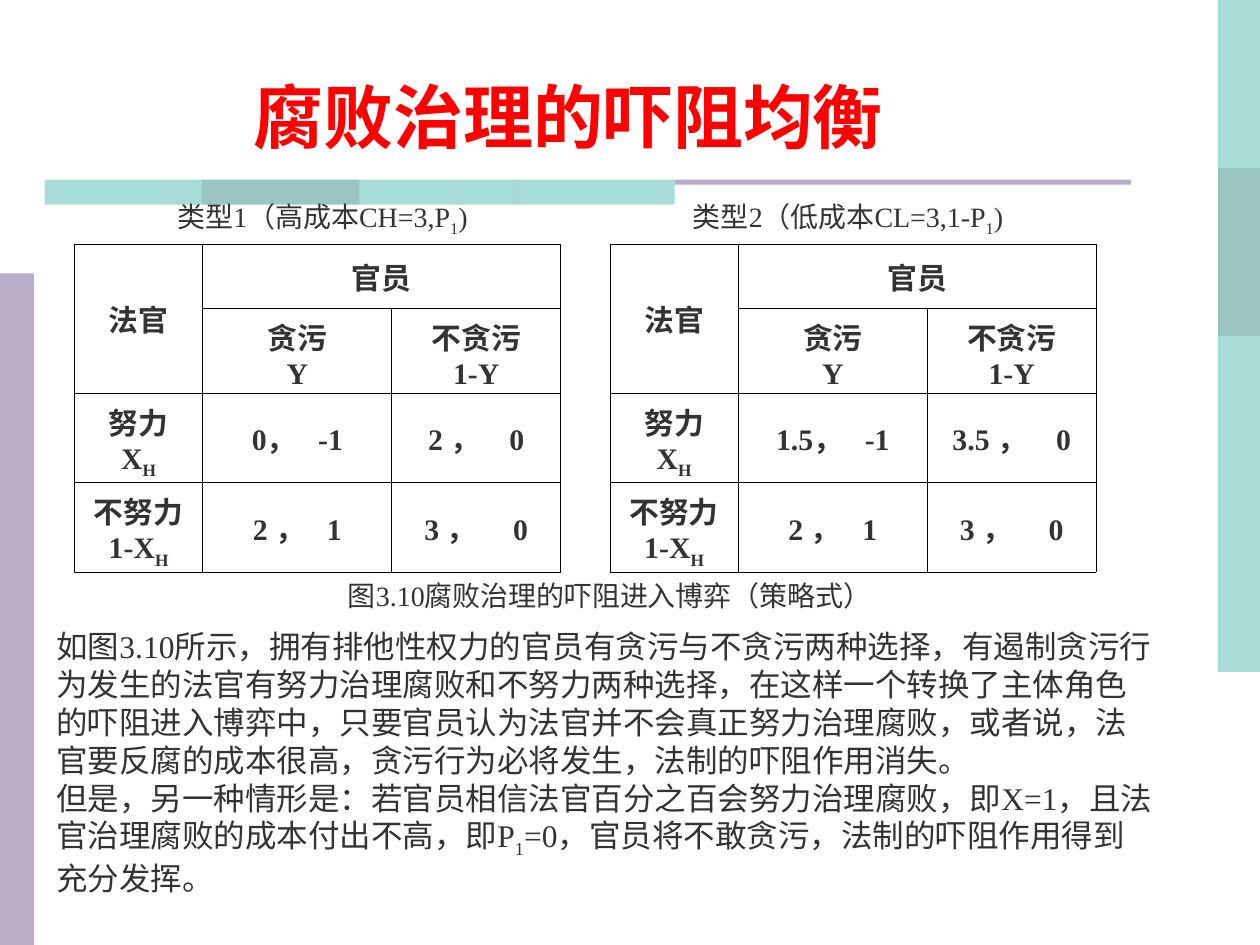
from dataclasses import dataclass

from lxml.etree import SubElement
from pptx import Presentation
from pptx.dml.color import RGBColor
from pptx.enum.shapes import MSO_SHAPE as Shape
from pptx.enum.text import MSO_ANCHOR as Anchor
from pptx.enum.text import MSO_AUTO_SIZE as Fit
from pptx.enum.text import PP_ALIGN as Align
from pptx.oxml.ns import qn
from pptx.util import Inches, Pt


@dataclass(frozen=True)
class Theme:
    font: str = "Times New Roman"
    ink: str = "333333"
    red: str = "FF0000"
    border: str = "000000"
    mint: str = "51B9AF"
    teal: str = "398D85"
    lilac: str = "B8ACC6"
    title: int = 40
    body: int = 18
    cell: int = 17
    caption: int = 16
    border_width: float = 0.45


@dataclass(frozen=True)
class Span:
    text: str
    baseline: int = 0
    spacing: float = 0


def subscript(before, low, after=""):
    spans = [Span(before), Span(low, baseline=-25)]
    return spans + [Span(after)] if after else spans


def payoff(first, second, spaces):
    space_width = Theme.cell / 4
    return [[Span(first), Span(" ", spacing=(spaces - 1) * space_width), Span(second)]]


class SlideBuilder:
    COLUMNS, ROWS = 100, 75

    def __init__(self, deck, theme):
        self.theme = theme
        self.column = deck.slide_width / self.COLUMNS
        self.row = deck.slide_height / self.ROWS
        self.page = deck.slides.add_slide(deck.slide_layouts[6])

    def place(self, left, top, width, height):
        return (round(left * self.column), round(top * self.row),
                round(width * self.column), round(height * self.row))

    def bar(self, area, color, opacity=100):
        bar = self.page.shapes.add_shape(Shape.RECTANGLE, *self.place(*area))
        bar.shadow.inherit = False
        bar.line.fill.background()
        bar.fill.solid()
        bar.fill.fore_color.rgb = RGBColor.from_string(color)
        if opacity < 100:
            tint = bar.fill._xPr.find(qn("a:solidFill"))[0]
            SubElement(tint, qn("a:alpha"), val=str(opacity * 1000))

    def add_spans(self, frame, paragraphs, size, color, align, bold=False):
        for index, spans in enumerate(paragraphs):
            para = frame.add_paragraph() if index else frame.paragraphs[0]
            para.alignment = align
            for span in spans:
                run = para.add_run()
                run.text = span.text
                font = run.font
                font.name, font.size, font.bold = self.theme.font, Pt(size), bold
                font.color.rgb = RGBColor.from_string(color)
                if span.baseline:
                    font._element.set("baseline", str(span.baseline * 1000))
                if span.spacing:
                    font._element.set("spc", str(round(span.spacing * 100)))

    def text(self, area, paragraphs, size, color=None, align=Align.CENTER,
             anchor=Anchor.MIDDLE, bold=False, fit=Fit.SHAPE_TO_FIT_TEXT):
        frame = self.page.shapes.add_textbox(*self.place(*area)).text_frame
        frame.word_wrap = True
        frame.auto_size = fit
        frame.vertical_anchor = anchor
        self.add_spans(frame, paragraphs, size, color or self.theme.ink, align, bold)

    def outline(self, cell):
        for edge in ("lnL", "lnR", "lnT", "lnB"):
            line = SubElement(cell._tc.get_or_add_tcPr(), qn(f"a:{edge}"),
                              w=str(Pt(self.theme.border_width)))
            fill = SubElement(line, qn("a:solidFill"))
            SubElement(fill, qn("a:srgbClr"), val=self.theme.border)
        cell.fill.background()

    def game(self, left, top, widths, heights, contents):
        area = self.place(left, top, sum(widths), sum(heights))
        table = self.page.shapes.add_table(len(heights), len(widths), *area).table
        table.first_row = table.horz_banding = False
        for column, width in zip(table.columns, widths):
            column.width = round(width * self.column)
        for row, height in zip(table.rows, heights):
            row.height = round(height * self.row)
        table.cell(0, 0).merge(table.cell(1, 0))
        table.cell(0, 1).merge(table.cell(0, 2))
        for row_index, row in enumerate(contents):
            for column_index, paragraphs in enumerate(row):
                cell = table.cell(row_index, column_index)
                self.outline(cell)
                cell.vertical_anchor = Anchor.MIDDLE
                if paragraphs:
                    self.add_spans(cell.text_frame, paragraphs, self.theme.cell,
                                   self.theme.ink, Align.CENTER, bold=True)


def game_contents(effort, idle):
    return [
        [[[Span("法官")]], [[Span("官员")]], None],
        [None, [[Span("贪污")], [Span("Y")]], [[Span("不贪污")], [Span("1-Y")]]],
        [[[Span("努力")], subscript("X", "H")], *effort],
        [[[Span("不努力")], subscript("1-X", "H")], *idle],
    ]


def main():
    deck = Presentation()
    deck.slide_width, deck.slide_height = Inches(10), Inches(7.5)
    theme = Theme()
    slide = SlideBuilder(deck, theme)

    side = 40 / 3
    for index, color in enumerate((theme.mint, theme.teal, theme.mint, theme.mint)):
        slide.bar((96.67, index * side, 3.33, side), color, 50)
        slide.bar((3.55 + index * 12.5, 14.25, 12.5, 2), color, 50)
    slide.bar((0, 21.7, 2.7, 53.3), theme.lilac)
    slide.bar((53.55, 14.25, 36.2, 0.4), theme.lilac)

    slide.text((0, 4.4, 90.2, 8.6), [[Span("腐败治理的吓阻均衡")]], theme.title,
               theme.red, anchor=Anchor.BOTTOM, bold=True, fit=Fit.NONE)

    idle = [payoff("2 ，", "1", 3), payoff("3 ，", "0", 5)]
    games = [
        (7.5, 5.9, "类型1（高成本CH=3,P",
         [payoff("0，", "-1", 3), payoff("2 ，", "0", 4)]),
        (49.2, 48.4, "类型2（低成本CL=3,1-P",
         [payoff("1.5，", "-1", 3), payoff("3.5 ，", "0", 4)]),
    ]
    for label_left, table_left, label, effort in games:
        slide.text((label_left, 15.3, 36.2, 4.1), [subscript(label, "1", ")")],
                   theme.caption)
        slide.game(table_left, 19.4, (10.2, 15, 13.4), (5.1, 6.7, 7.1, 7.1),
                   game_contents(effort, idle))

    slide.text((24.8, 45.4, 47.2, 3.7),
               [[Span("图3.10腐败治理的吓阻进入博弈（策略式）")]], theme.caption)
    slide.text((3.5, 49.3, 89, 22.4), [
        [Span("如图3.10所示，拥有排他性权力的官员有贪污与不贪污两种选择，"
              "有遏制贪污行为发生的法官有努力治理腐败和不努力两种选择，"
              "在这样一个转换了主体角色的吓阻进入博弈中，"
              "只要官员认为法官并不会真正努力治理腐败，或者说，"
              "法官要反腐的成本很高，贪污行为必将发生，法制的吓阻作用消失。")],
        subscript("但是，另一种情形是：若官员相信法官百分之百会努力治理腐败，"
                  "即X=1，且法官治理腐败的成本付出不高，即P", "1",
                  "=0，官员将不敢贪污，法制的吓阻作用得到充分发挥。"),
    ], theme.body, align=Align.LEFT, anchor=Anchor.TOP)

    deck.save("out.pptx")


if __name__ == "__main__":
    main()
